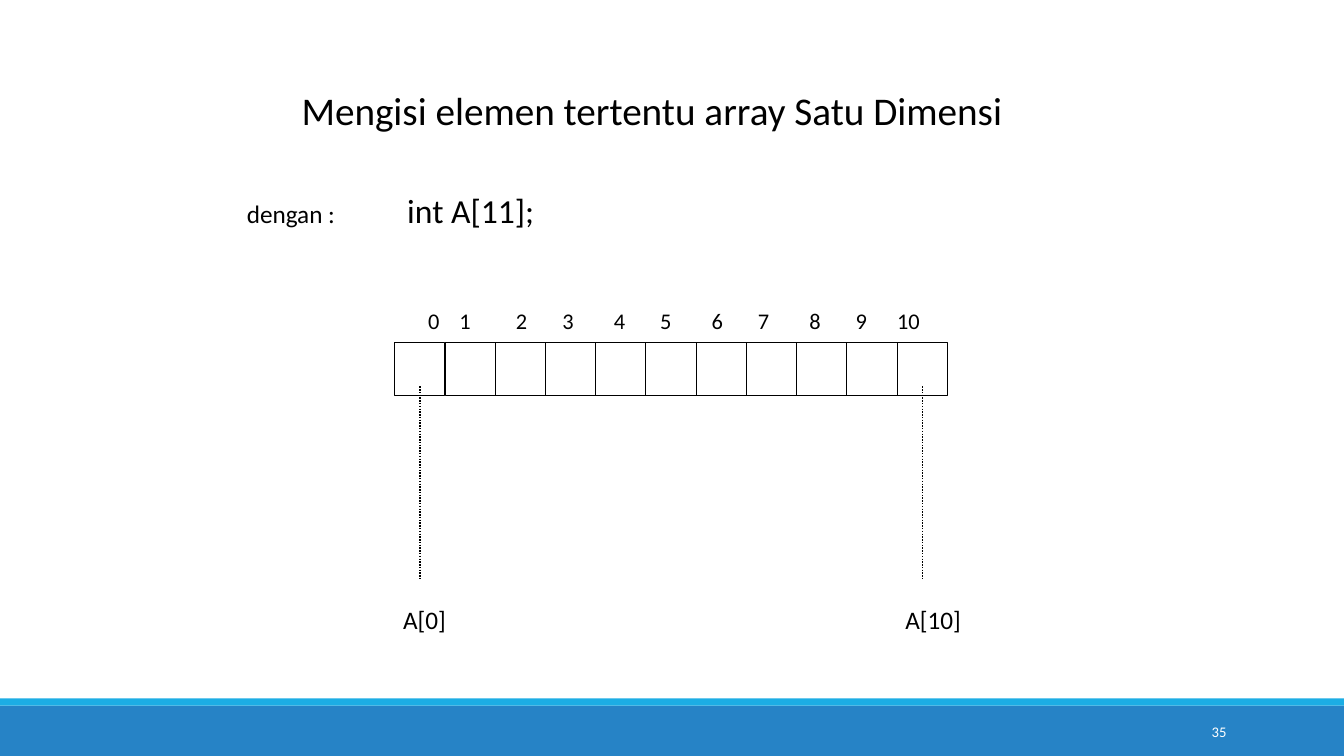
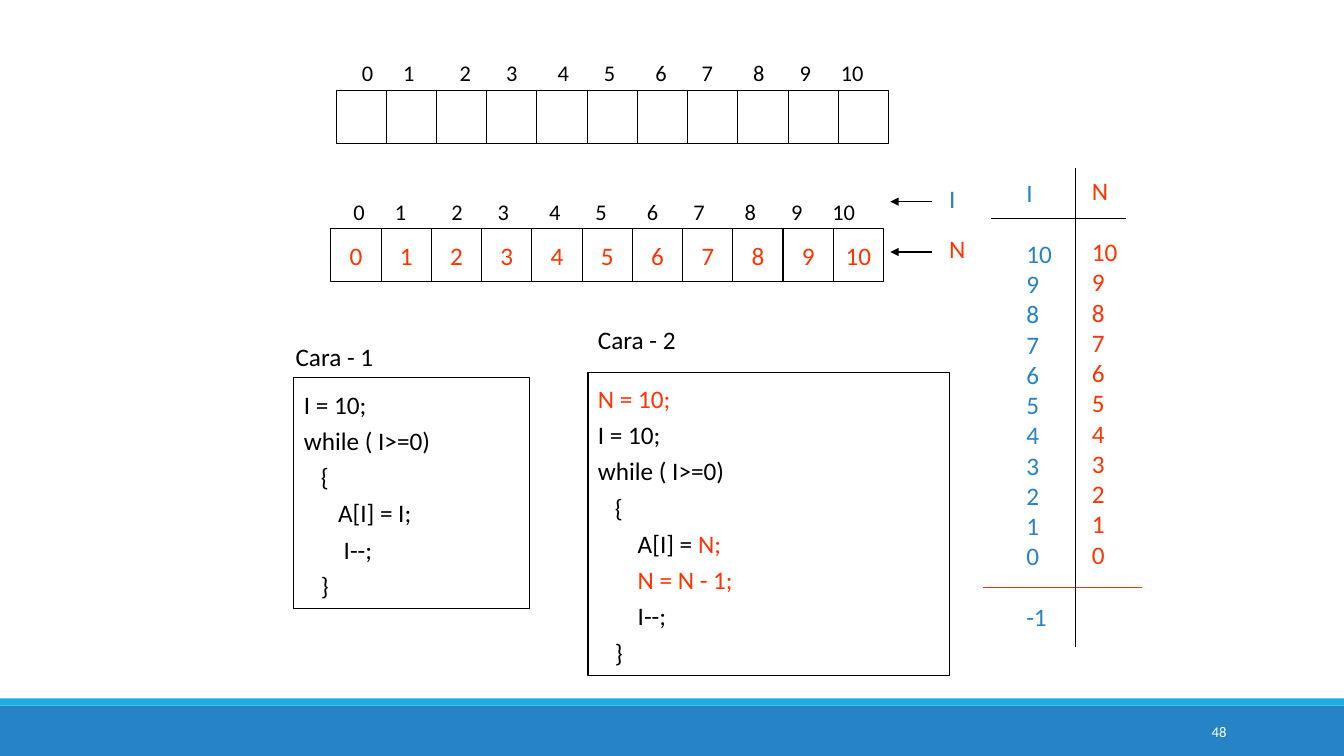
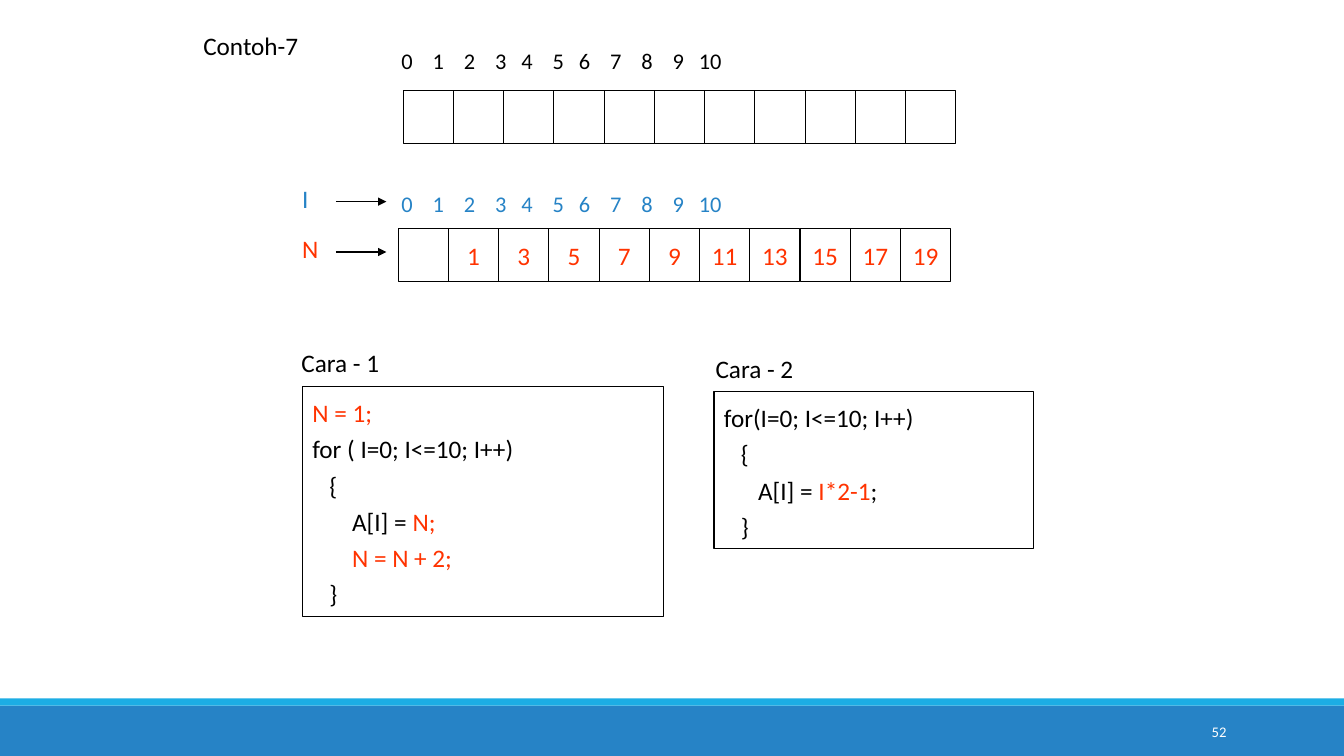
from itertools import accumulate

from pptx import Presentation
from pptx.dml.color import RGBColor
from pptx.enum.dml import MSO_LINE
from pptx.enum.shapes import MSO_CONNECTOR, MSO_SHAPE
from pptx.enum.text import MSO_ANCHOR, MSO_AUTO_SIZE, PP_ALIGN
from pptx.oxml.ns import qn
from pptx.oxml.xmlchemy import OxmlElement
from pptx.util import Inches, Pt

RECTANGLE = MSO_SHAPE.RECTANGLE
STRAIGHT = MSO_CONNECTOR.STRAIGHT
DOTTED = MSO_LINE.ROUND_DOT
TOP, MIDDLE = MSO_ANCHOR.TOP, MSO_ANCHOR.MIDDLE
LEFT, CENTER, RIGHT = PP_ALIGN.LEFT, PP_ALIGN.CENTER, PP_ALIGN.RIGHT

BLACK = RGBColor(0x00, 0x00, 0x00)
WHITE = RGBColor(0xFF, 0xFF, 0xFF)
RED = RGBColor(0xFF, 0x33, 0x00)
BLUE = RGBColor(0x26, 0x83, 0xC6)
CYAN = RGBColor(0x1C, 0xAD, 0xE4)
FONT = "Calibri"

deck = Presentation()
deck.slide_width, deck.slide_height = Inches(13.33), Inches(7.5)
TITLE_ONLY, BLANK = deck.slide_layouts[5], deck.slide_layouts[6]

# The slide is a grid of 160 columns by 90 rows.
COLUMN = deck.slide_width / 160
ROW = deck.slide_height / 90
CELL_WIDTH, CELL_HEIGHT = 5.98, 6.25
LABEL_WIDTH, LABEL_HEIGHT = 18, 4.8

# Gaps between the index numbers, counted in spaces of 16 point text.
SPACE, DIGIT = Inches(0.05), Inches(0.11)
WIDE = [6, 9, 7, 8, 7, 8, 7, 8, 7, 6]
WIDE_FROM_FOUR = [4] + WIDE[1:]
NARROW = [4, 4, 4, 3, 4, 3, 4, 4, 4, 3]
INDEXES = "\t".join(str(index) for index in range(11))

EMPTY = [""] * 11
COUNTDOWN = [str(value) for value in range(10, -1, -1)]


def place(left, top, width, height):
    """Turn grid columns and rows into slide lengths."""
    return [round(left * COLUMN), round(top * ROW),
            round(width * COLUMN), round(height * ROW)]


def write(shape, paras, size=18, color=BLACK, anchor=TOP, wrap=True, **formats):
    """Fill a shape; a paragraph is a string or a list of (text, colour) spans."""
    frame = shape.text_frame
    frame.auto_size = MSO_AUTO_SIZE.NONE
    frame.word_wrap = wrap
    frame.vertical_anchor = anchor
    for number, spans in enumerate(paras):
        para = frame.paragraphs[0] if number == 0 else frame.add_paragraph()
        for name, value in {"alignment": LEFT, **formats}.items():
            setattr(para, name, value)
        for text, span_color in [(spans, color)] if isinstance(spans, str) else spans:
            span = para.add_run()
            span.text = text
            span.font.name, span.font.size = FONT, Pt(size)
            span.font.color.rgb = span_color


# cells: left, top, values; indexes: left, top, gaps, colour
# labels: left, top, text, size, colour; codes: left, top, width, height, lines
# lines: from x, from y, to x, to y, colour, width, dash, arrow
# columns: left, top, colour, values, index of values set apart
pages = [
    {
        "number": 35,
        "title": (34.7, 9.7, 88, 6.9, 28, "Mengisi elemen tertentu array Satu Dimensi"),
        "cells": [(47, 40.8, EMPTY)],
        "indexes": [(49.8, 36, WIDE_FROM_FOUR, BLACK)],
        "labels": [
            (28.2, 23, "dengan :", 18, BLACK),
            (47.3, 22, "int A[11];", 24, BLACK),
            (46.8, 71.3, "A[0]", 18, BLACK),
            (106.6, 71.3, "A[10]", 18, BLACK),
        ],
        "lines": [(x, 46, x, 69, BLACK, 1, DOTTED, False) for x in (50, 109.8)],
    },
    {
        "number": 48,
        "cells": [(40, 10.8, EMPTY), (39.4, 27.25, [str(value) for value in range(11)])],
        "indexes": [(41.9, 6.4, WIDE, BLACK), (40.9, 23, WIDE, BLACK)],
        "labels": [
            (70, 38, "Cara - 2", 18, BLACK),
            (34, 40, "Cara - 1", 18, BLACK),
            (111.8, 21.2, "I", 18, BLUE),
            (111.8, 27.2, "N", 18, RED),
        ],
        "codes": [
            (35, 45, 28, 27.4, [
                "I = 10;",
                "while ( I>=0)",
                "   {",
                "      A[I] = I;",
                "       I--;",
                "   }",
            ]),
            (70, 44.3, 43, 36.1, [
                [("N = 10;", RED)],
                "I = 10;",
                "while ( I>=0)",
                "   {",
                [("       A[I] = ", BLACK), ("N;", RED)],
                [("       N = N - 1;", RED)],
                "       I--;",
                "   }",
            ]),
        ],
        "lines": [
            (118, 26, 134, 26, BLACK, 0.75, None, False),
            (117, 70, 136, 70, RED, 0.75, None, False),
            (128, 20, 128, 77, BLACK, 0.75, None, False),
        ] + [(111, y, 106, y, BLACK, 0.75, None, True) for y in (24, 30)],
        "columns": [
            (121, 20.5, BLUE, ["I", *COUNTDOWN, "-1"], (1, 12)),
            (128.8, 20.3, RED, ["N", *COUNTDOWN], (1,)),
        ],
    },
    {
        "number": 52,
        "title": (23, 3, 18, 4.8, 18, "Contoh-7"),
        "cells": [
            (48, 10.8, EMPTY),
            (47.4, 27.25, ["", *(str(value) for value in range(1, 20, 2))]),
        ],
        "indexes": [(46.6, 5, NARROW, BLACK), (46.6, 22, NARROW, BLUE)],
        "labels": [
            (34.8, 21.2, "I", 18, BLUE),
            (34.8, 27.2, "N", 18, RED),
            (34.7, 40.8, "Cara - 1", 18, BLACK),
            (84, 41.5, "Cara - 2", 18, BLACK),
        ],
        "codes": [
            (85, 46.6, 38, 18.7, [
                "for(I=0; I<=10; I++)",
                "   {",
                [("      A[I] = ", BLACK), ("I*2-1", RED), (";", BLACK)],
                "   }",
            ]),
            (36, 46, 43, 27.4, [
                [("N = 1;", RED)],
                "for ( I=0; I<=10; I++)",
                "   {",
                [("       A[I] = ", BLACK), ("N;", RED)],
                [("       N = N + 2;", RED)],
                "   }",
            ]),
        ],
        "lines": [(40, y, 46, y, BLACK, 0.75, None, True) for y in (24, 30)],
    },
]

for page_index, page in enumerate(pages):
    slide = deck.slides.add_slide(TITLE_ONLY if "title" in page else BLANK)
    shapes = slide.shapes

    # The bands are made once and moved to the master.
    if page_index == 0:
        for top, height, color in [(84, 6, BLUE), (83.16, 0.84, CYAN)]:
            band = shapes.add_shape(RECTANGLE, *place(0, top, 160, height))
            band.shadow.inherit = False
            band.fill.solid()
            band.fill.fore_color.rgb = color
            band.line.fill.background()
            deck.slide_master.shapes.element.append(band.element)

    number_box = shapes.add_textbox(*place(130, 84.7, 17.2, 4.8))
    write(number_box, [str(page["number"])], 10.5, WHITE, MIDDLE, alignment=RIGHT)

    if "title" in page:
        *area, size, text = page["title"]
        title = shapes.title
        title.left, title.top, title.width, title.height = place(*area)
        write(title, [text], size)

    boxes = [
        (left + index * CELL_WIDTH, top, CELL_WIDTH, CELL_HEIGHT, [value] if value else [],
         {"color": RED, "anchor": MIDDLE, "wrap": False, "alignment": CENTER})
        for left, top, values in page["cells"]
        for index, value in enumerate(values)
    ] + [(*code, {"line_spacing": 1.2}) for code in page.get("codes", [])]
    for *area, paras, formats in boxes:
        box = shapes.add_shape(RECTANGLE, *place(*area))
        box.shadow.inherit = False
        box.fill.background()
        box.line.color.rgb, box.line.width = BLACK, Pt(0.75)
        if paras:
            write(box, paras, **formats)

    for left, top, gaps, color in page["indexes"]:
        index_box = shapes.add_textbox(*place(left, top, 64, 4.44))
        properties = index_box.text_frame.paragraphs[0]._p.get_or_add_pPr()
        tab_list = OxmlElement("a:tabLst")
        for position in accumulate(gap * SPACE + DIGIT for gap in gaps):
            tab = OxmlElement("a:tab")
            tab.set("pos", str(position))
            tab.set("algn", "l")
            tab_list.append(tab)
        properties.append(tab_list)
        write(index_box, [INDEXES], 16, color)

    for left, top, text, size, color in page["labels"]:
        label = shapes.add_textbox(*place(left, top, LABEL_WIDTH, LABEL_HEIGHT))
        write(label, [text], size, color)

    for left, top, color, values, set_apart in page.get("columns", []):
        column = shapes.add_textbox(*place(left, top, 6, 55.7))
        write(column, values, color=color)
        for index in set_apart:
            column.text_frame.paragraphs[index].space_before = Pt(22)

    for *ends, color, width, dash, arrow in page["lines"]:
        line = shapes.add_connector(STRAIGHT, *place(*ends))
        line.line.color.rgb, line.line.width = color, Pt(width)
        if dash:
            line.line.dash_style = dash
        properties = line.element.spPr
        if arrow:
            head = OxmlElement("a:tailEnd")
            head.set("type", "triangle")
            properties.find(qn("a:ln")).append(head)
        properties.append(OxmlElement("a:effectLst"))

deck.save("out.pptx")
